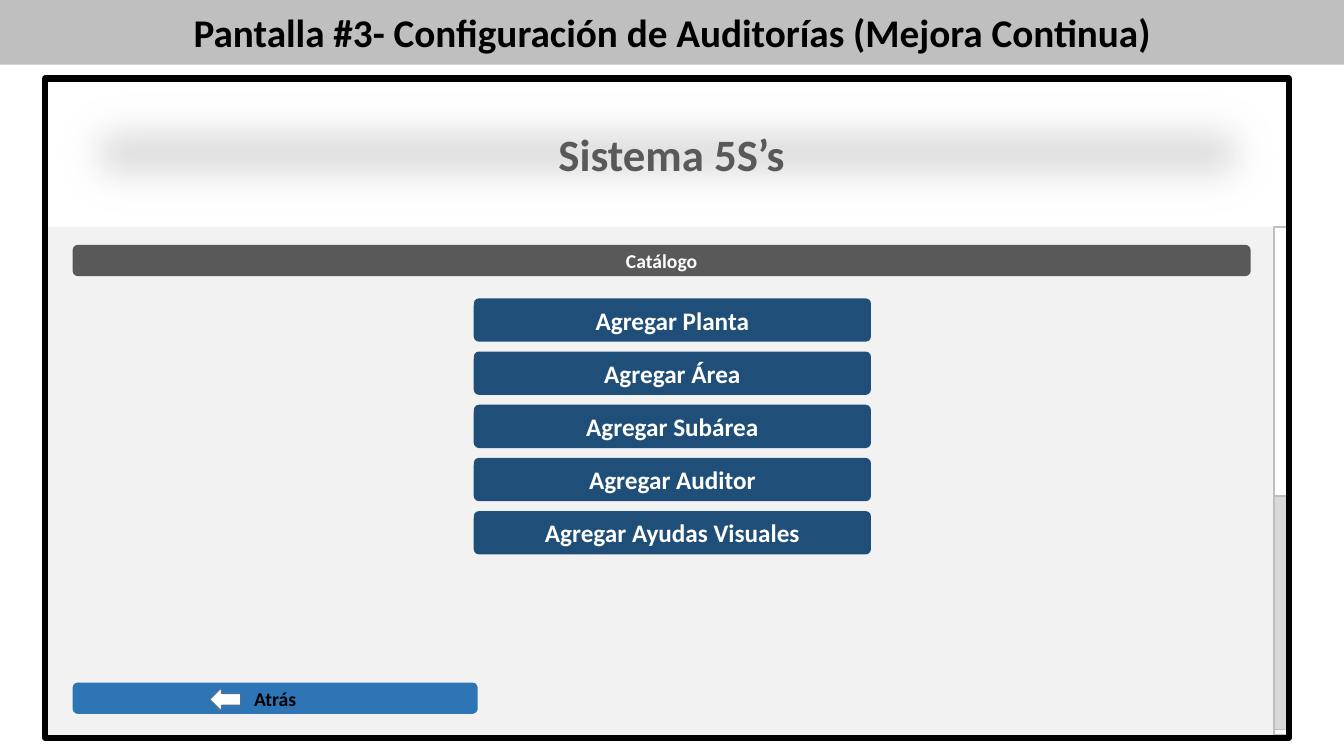
from lxml.etree import SubElement
from pptx import Presentation
from pptx.dml.color import RGBColor
from pptx.enum.shapes import MSO_SHAPE as Kind
from pptx.enum.text import MSO_ANCHOR as Anchor, MSO_AUTO_SIZE as Fit, PP_ALIGN as Align
from pptx.oxml.ns import qn
from pptx.util import Cm, Pt

BLACK = RGBColor(0x00, 0x00, 0x00)
WHITE = RGBColor(0xFF, 0xFF, 0xFF)
PALE = RGBColor(0xF2, 0xF2, 0xF2)
MIST = RGBColor(0xDE, 0xDE, 0xDE)
THUMB = RGBColor(0xD9, 0xD9, 0xD9)
SILVER = RGBColor(0xBF, 0xBF, 0xBF)
DARK = RGBColor(0x59, 0x59, 0x59)
NAVY = RGBColor(0x1F, 0x4E, 0x79)
BLUE = RGBColor(0x2E, 0x75, 0xB6)
EDGE = RGBColor(0x43, 0x73, 0x9E)

ACTIONS = ("Agregar Planta", "Agregar Área", "Agregar Subárea",
           "Agregar Auditor", "Agregar Ayudas Visuales")


class Screen:
    font = "Calibri"

    def __init__(self, slide):
        self.shapes = slide.shapes

    def shape(self, kind, box, fill=None, line=None, width=1):
        item = self.shapes.add_shape(kind, *map(Cm, box))
        item.shadow.inherit = False
        if fill is None:
            item.fill.background()
        else:
            item.fill.solid()
            item.fill.fore_color.rgb = fill
        if line is None:
            item.line.fill.background()
        else:
            item.line.color.rgb = line
            item.line.width = Pt(width)
        return item

    def panel(self, box, fill=None, line=None, width=1):
        return self.shape(Kind.RECTANGLE, box, fill, line, width)

    def haze(self, box, fill, blur):
        """Draw a panel whose edges fade out over the blur length."""
        effects = self.panel(box, fill)._element.spPr.find(qn("a:effectLst"))
        SubElement(effects, qn("a:softEdge"), rad=str(int(Cm(blur))))

    def caption(self, frame, text, size, color):
        frame.vertical_anchor = Anchor.MIDDLE
        para = frame.paragraphs[0]
        para.text = text
        para.alignment = Align.CENTER
        para.font.name = self.font
        para.font.size = Pt(size)
        para.font.bold = True
        para.font.color.rgb = color

    def banner(self, box, text, size, fill, color):
        self.caption(self.panel(box, fill).text_frame, text, size, color)

    def button(self, box, text, size, fill, color=WHITE, curve=0.17):
        item = self.shape(Kind.ROUNDED_RECTANGLE, box, fill)
        item.adjustments[0] = curve
        self.caption(item.text_frame, text, size, color)

    def label(self, box, text, size, color):
        frame = self.shapes.add_textbox(*map(Cm, box)).text_frame
        frame.word_wrap = False
        frame.auto_size = Fit.SHAPE_TO_FIT_TEXT
        self.caption(frame, text, size, color)


def main():
    deck = Presentation()
    deck.slide_width, deck.slide_height = Cm(33.87), Cm(19.05)
    screen = Screen(deck.slides.add_slide(deck.slide_layouts[6]))

    left, top, wide = 1.14, 1.98, 31.34
    body = 5.72
    screen.panel((left, body, wide, 12.9), PALE)
    screen.haze((left, top, wide, body - top), MIST, 1.1)
    screen.banner((0, 0, 33.87, 1.63),
                  "Pantalla #3- Configuración de Auditorías (Mejora Continua)",
                  28, SILVER, BLACK)
    screen.label((13.79, 3.05, 6.27, 1.63), "Sistema 5S’s", 32, DARK)

    screen.panel((32.11, body, 0.33, 12.8), WHITE, SILVER)
    screen.panel((32.11, 12.5, 0.33, 5.89), THUMB, SILVER)
    screen.panel((left, top, wide, 16.61), line=BLACK, width=4.5)

    screen.button((1.83, 6.17, 29.69, 0.79), "Catálogo", 14, DARK)
    for row, action in enumerate(ACTIONS):
        screen.button((11.94, 7.52 + 1.34 * row, 10.01, 1.09), action, 18, NAVY, curve=0.12)

    screen.button((1.83, 17.2, 10.21, 0.79), "Atrás", 14, BLUE, BLACK)
    screen.shape(Kind.LEFT_ARROW, (5.28, 17.32, 0.79, 0.61), WHITE, EDGE)
    deck.save("out.pptx")


if __name__ == "__main__":
    main()
